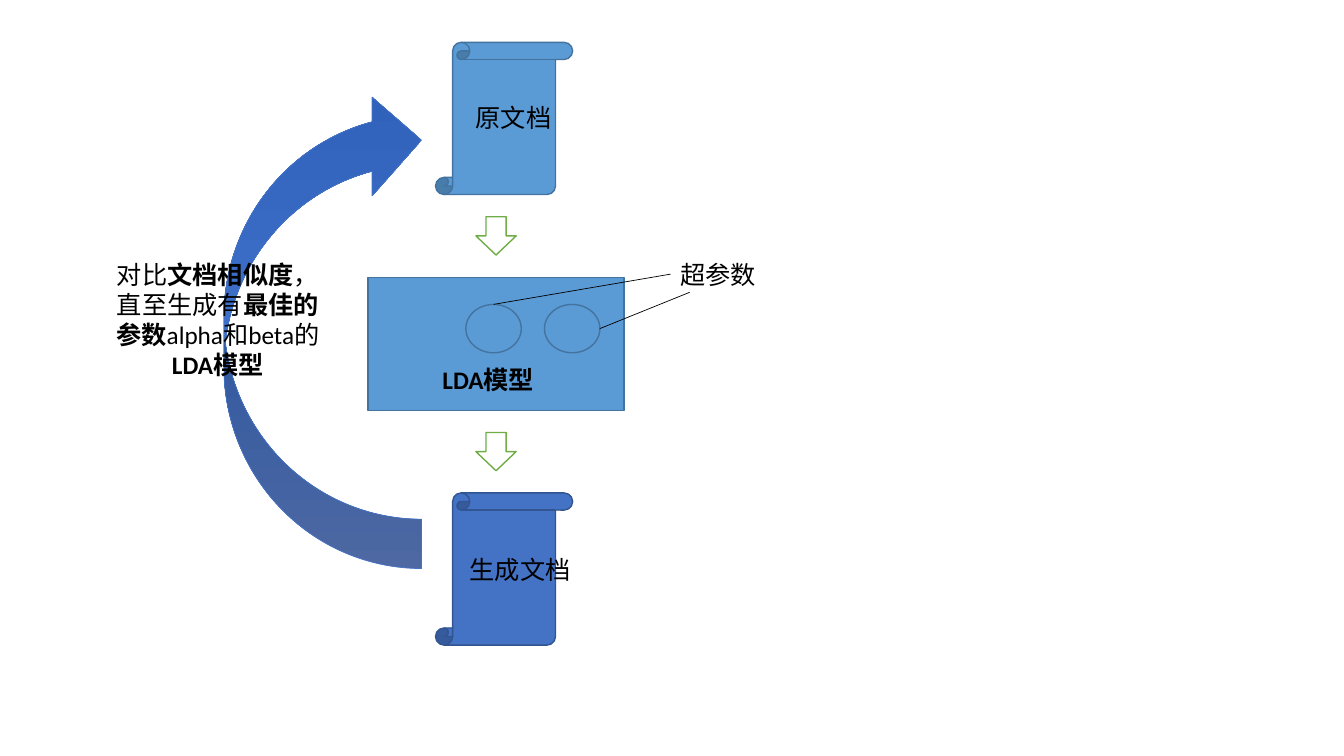
from copy import deepcopy

from lxml.etree import SubElement
from pptx import Presentation
from pptx.dml.color import RGBColor
from pptx.enum.shapes import MSO_CONNECTOR as CONNECTOR, MSO_SHAPE as SHAPE
from pptx.enum.text import PP_ALIGN as ALIGN
from pptx.oxml.ns import qn
from pptx.util import Inches, Pt

BLACK, WHITE = "000000", "FFFFFF"
LIGHT_BLUE, LIGHT_BLUE_EDGE = "5B9BD5", "43739E"
DARK_BLUE, DARK_BLUE_EDGE = "4472C4", "325491"
GREEN = "70AD47"
LOOP_GRADIENT = [(0, "6183CB"), (0.5, "3E70CA"), (1, "3062BB")]
FONT = {"name": "Calibri", "size": Pt(18)}


def color(hex_value):
    return RGBColor.from_string(hex_value)


def add_preset(slide, kind, box, fill, edge, weight=1):
    shape = slide.shapes.add_shape(kind, *map(Inches, box))
    shape.shadow.inherit = False
    if fill:
        shape.fill.solid()
        shape.fill.fore_color.rgb = color(fill)
    shape.line.color.rgb = color(edge)
    shape.line.width = Pt(weight)
    return shape


def add_label(slide, box, runs, align=ALIGN.LEFT):
    """Write (text, bold) runs as one paragraph."""
    label = slide.shapes.add_textbox(*map(Inches, box))
    label.text_frame.word_wrap = True
    paragraph = label.text_frame.paragraphs[0]
    paragraph.alignment = align
    for text, bold in runs:
        run = paragraph.add_run()
        run.text = text
        for name, value in {**FONT, "bold": bold}.items():
            setattr(run.font, name, value)
        run.font.color.rgb = color(BLACK)
    return label


def add_leader(slide, start, end):
    leader = slide.shapes.add_connector(CONNECTOR.STRAIGHT, *map(Inches, start + end))
    leader.line.color.rgb = color(BLACK)
    leader.line.width = Pt(0.5)
    SubElement(leader._element.spPr, qn("a:effectLst"))
    return leader


def add_document(slide, left, top, fill, edge, text, label_box):
    """Scroll with its caption; label_box is relative to the scroll."""
    add_preset(slide, SHAPE.VERTICAL_SCROLL, (left, top, 1.36, 1.51), fill, edge)
    dx, dy, width, height = label_box
    add_label(slide, (left + dx, top + dy, width, height), [(text, False)])


def add_model(slide, left, top):
    """Model box, its two hyperparameters and their callout."""
    add_preset(slide, SHAPE.FLOWCHART_PROCESS, (left, top, 2.54, 1.32),
               LIGHT_BLUE, LIGHT_BLUE_EDGE)
    alpha, beta = [
        add_preset(slide, SHAPE.OVAL, (left + dx, top + 0.27, 0.55, 0.48),
                   LIGHT_BLUE, LIGHT_BLUE_EDGE)
        for dx in (0.97, 1.75)
    ]
    add_label(slide, (left + 0.64, top + 0.82, 1.2, 0.4), [("LDA模型", True)])
    callout = add_label(slide, (left + 3, top - 0.23, 1.12, 0.4), [("超参数", False)])

    alpha_leader = add_leader(slide, (left + 1.25, top + 0.27), (left + 3, top - 0.02))
    alpha_leader.begin_connect(alpha, 0)
    alpha_leader.end_connect(callout, 1)
    add_leader(slide, (left + 2.3, top + 0.51), (left + 3.19, top + 0.15))


def add_feedback_loop(slide, left, top):
    """Arrow from the generated document back to the source, with its note."""
    loop = add_preset(slide, SHAPE.CURVED_LEFT_ARROW, (left, top, 1.96, 4.74),
                      None, DARK_BLUE, 0.5)
    loop.rotation = 180
    loop.fill.gradient()
    loop.fill.gradient_angle = 270
    first_stop = loop._element.spPr.find(".//" + qn("a:gs"))
    first_stop.addnext(deepcopy(first_stop))
    for stop, (position, hex_value) in zip(loop.fill.gradient_stops, LOOP_GRADIENT):
        stop.position = position
        stop.color.rgb = color(hex_value)

    add_label(slide, (left - 1.17, top + 1.62, 2.22, 1.31), [
        ("对比", False), ("文档相似度", True), ("，直至生成有", False),
        ("最佳的参数", True), ("alpha和beta的", False), ("LDA模型", True),
    ], ALIGN.CENTER)


def main():
    presentation = Presentation()
    presentation.slide_width = Inches(13.33)
    presentation.slide_height = Inches(7.5)
    slide = presentation.slides.add_slide(presentation.slide_layouts[6])

    add_feedback_loop(slide, 2.22, 0.9)
    add_model(slide, 3.65, 2.75)
    add_document(slide, 4.32, 0.42, LIGHT_BLUE, LIGHT_BLUE_EDGE,
                 "原文档", (0.3, 0.55, 1.12, 0.4))
    add_document(slide, 4.32, 4.89, DARK_BLUE, DARK_BLUE_EDGE,
                 "生成文档", (0.24, 0.56, 1.39, 0.4))
    # Steps into and out of the model
    for top in (2.15, 4.29):
        add_preset(slide, SHAPE.DOWN_ARROW, (4.72, top, 0.4, 0.38), WHITE, GREEN)

    presentation.save("out.pptx")


if __name__ == "__main__":
    main()
